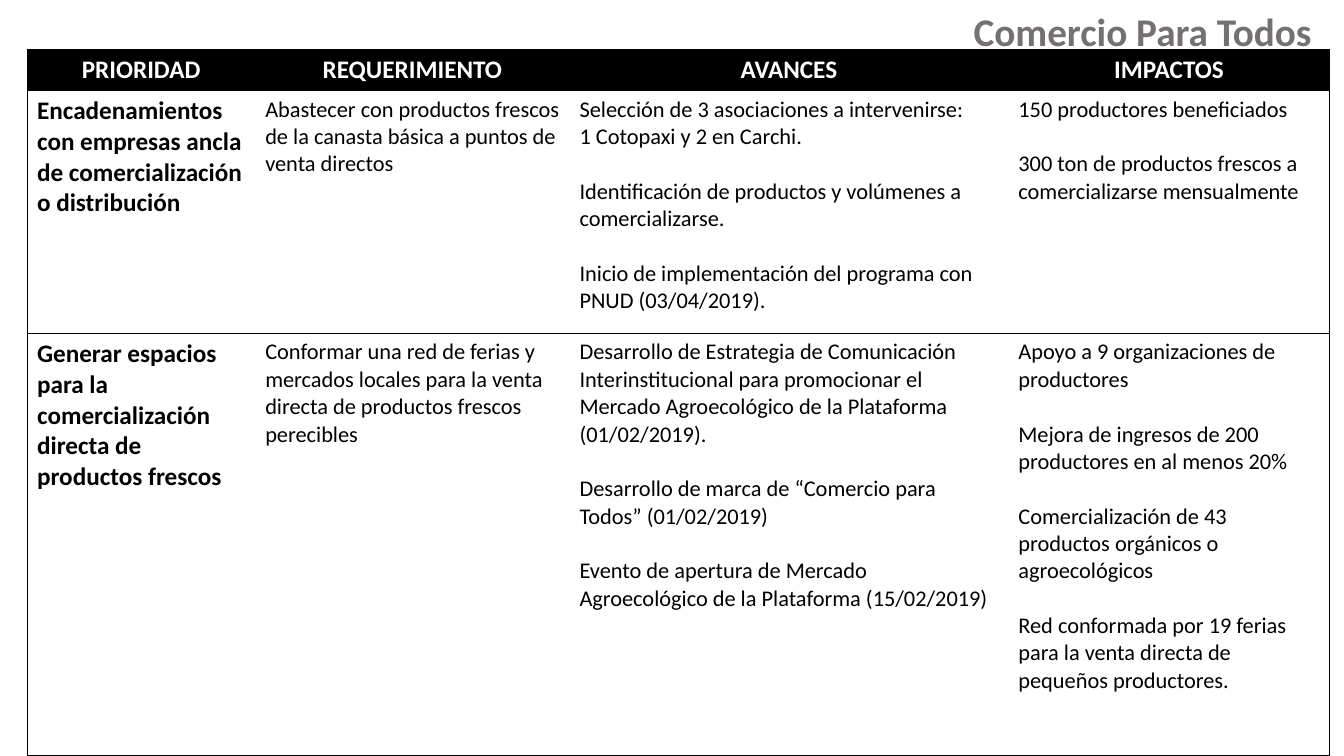
import pptx
import pptx.util
import pptx.dml.color
import pptx.enum.text
import lxml.etree

Pt = pptx.util.Pt
ALIGN = pptx.enum.text.PP_ALIGN
COLORS = {"ink": "000000", "header_text": "FFFFFF", "title": "767171"}
FONT = "Calibri"

TITLE = "Comercio Para Todos"
HEADERS = ["PRIORIDAD", "REQUERIMIENTO", "AVANCES", "IMPACTOS"]
# Each cell is a list of items; a line break inside an item starts a paragraph without a gap
ROWS = [
    [
        ["Encadenamientos con empresas ancla de comercialización o distribución"],
        ["Abastecer con productos frescos de la canasta básica a puntos de venta directos"],
        ["Selección de 3 asociaciones a intervenirse:\n1 Cotopaxi y 2 en Carchi.",
         "Identificación de productos y volúmenes a comercializarse.",
         "Inicio de implementación del programa con PNUD (03/04/2019)."],
        ["150 productores beneficiados",
         "300 ton de productos frescos a comercializarse mensualmente"],
    ],
    [
        ["Generar espacios para la comercialización directa de productos frescos"],
        ["Conformar una red de ferias y mercados locales para la venta directa de "
         "productos frescos perecibles"],
        ["Desarrollo de Estrategia de Comunicación Interinstitucional para promocionar "
         "el Mercado Agroecológico de la Plataforma (01/02/2019).",
         "Desarrollo de marca de “Comercio para Todos” (01/02/2019)",
         "Evento de apertura de Mercado Agroecológico de la Plataforma (15/02/2019)"],
        ["Apoyo a 9 organizaciones de productores",
         "Mejora de ingresos de 200 productores en al menos 20%",
         "Comercialización de 43 productos orgánicos o agroecológicos",
         "Red conformada por 19 ferias para la venta directa de pequeños productores."],
    ],
]
TABLE_LEFT, TABLE_TOP = 19.3, 35.3
COLUMN_WIDTHS = [163, 224.5, 313.5, 229.5]
ROW_HEIGHTS = [29.5, 173.5, 301]
ITEM_GAP = 19.5


def format_font(font, size, color, bold):
    font.name = FONT
    font.size = Pt(size)
    font.bold = bold
    font.color.rgb = pptx.dml.color.RGBColor.from_string(COLORS[color])


def set_borders(cell, sides):
    """Draw a thin line on the given sides (L, R, T, B) and none on the others."""
    namespace = "{http://schemas.openxmlformats.org/drawingml/2006/main}"
    properties = cell._tc.get_or_add_tcPr()
    for side in "LRTB":
        line = lxml.etree.SubElement(properties, f"{namespace}ln{side}", w=str(Pt(0.5)))
        if side in sides:
            fill = lxml.etree.SubElement(line, f"{namespace}solidFill")
            lxml.etree.SubElement(fill, f"{namespace}srgbClr", val=COLORS["ink"])
        else:
            lxml.etree.SubElement(line, f"{namespace}noFill")


def fill_cell(cell, items, size, color, bold, alignment):
    lines = [(line, index > 0 and position == 0)
             for index, item in enumerate(items)
             for position, line in enumerate(item.split("\n"))]
    text_frame = cell.text_frame
    text_frame.text = "\n".join(line for line, _ in lines)
    for paragraph, (_, has_gap) in zip(text_frame.paragraphs, lines):
        paragraph.alignment = alignment
        if has_gap:
            paragraph.space_before = Pt(ITEM_GAP)
        for run in paragraph.runs:
            format_font(run.font, size, color, bold)


def add_title(slide):
    title = slide.shapes.title
    title.left, title.top, title.width, title.height = Pt(587.5), Pt(1.4), Pt(356.5), Pt(41)
    text_frame = title.text_frame
    text_frame.text = TITLE
    text_frame.word_wrap = True
    text_frame.auto_size = pptx.enum.text.MSO_AUTO_SIZE.NONE
    text_frame.vertical_anchor = pptx.enum.text.MSO_ANCHOR.TOP
    paragraph = text_frame.paragraphs[0]
    paragraph.alignment = ALIGN.RIGHT
    format_font(paragraph.runs[0].font, 28, "title", True)


def add_priorities_table(slide):
    table = slide.shapes.add_table(
        len(ROW_HEIGHTS), len(COLUMN_WIDTHS), Pt(TABLE_LEFT), Pt(TABLE_TOP),
        Pt(sum(COLUMN_WIDTHS)), Pt(sum(ROW_HEIGHTS))).table
    table.horz_banding = False
    for column, width in zip(table.columns, COLUMN_WIDTHS):
        column.width = Pt(width)
    for row, height in zip(table.rows, ROW_HEIGHTS):
        row.height = Pt(height)

    content = [[[header] for header in HEADERS]] + ROWS
    for row_index, row_items in enumerate(content):
        for column_index, items in enumerate(row_items):
            cell = table.cell(row_index, column_index)
            is_header, is_first = row_index == 0, column_index == 0
            is_last = column_index == len(HEADERS) - 1
            set_borders(cell, "TB" + "L" * is_first + "R" * is_last)
            if is_header:
                cell.fill.solid()
                cell.fill.fore_color.rgb = pptx.dml.color.RGBColor.from_string(COLORS["ink"])
                fill_cell(cell, items, 18, "header_text", True, ALIGN.CENTER)
            else:
                cell.fill.background()
                fill_cell(cell, items, 18 if is_first else 16, "ink", is_first, ALIGN.LEFT)


def main():
    presentation = pptx.Presentation()
    presentation.slide_width, presentation.slide_height = Pt(960), Pt(540)
    slide = presentation.slides.add_slide(presentation.slide_layouts[5])
    add_title(slide)
    add_priorities_table(slide)
    presentation.save("out.pptx")


if __name__ == "__main__":
    main()
